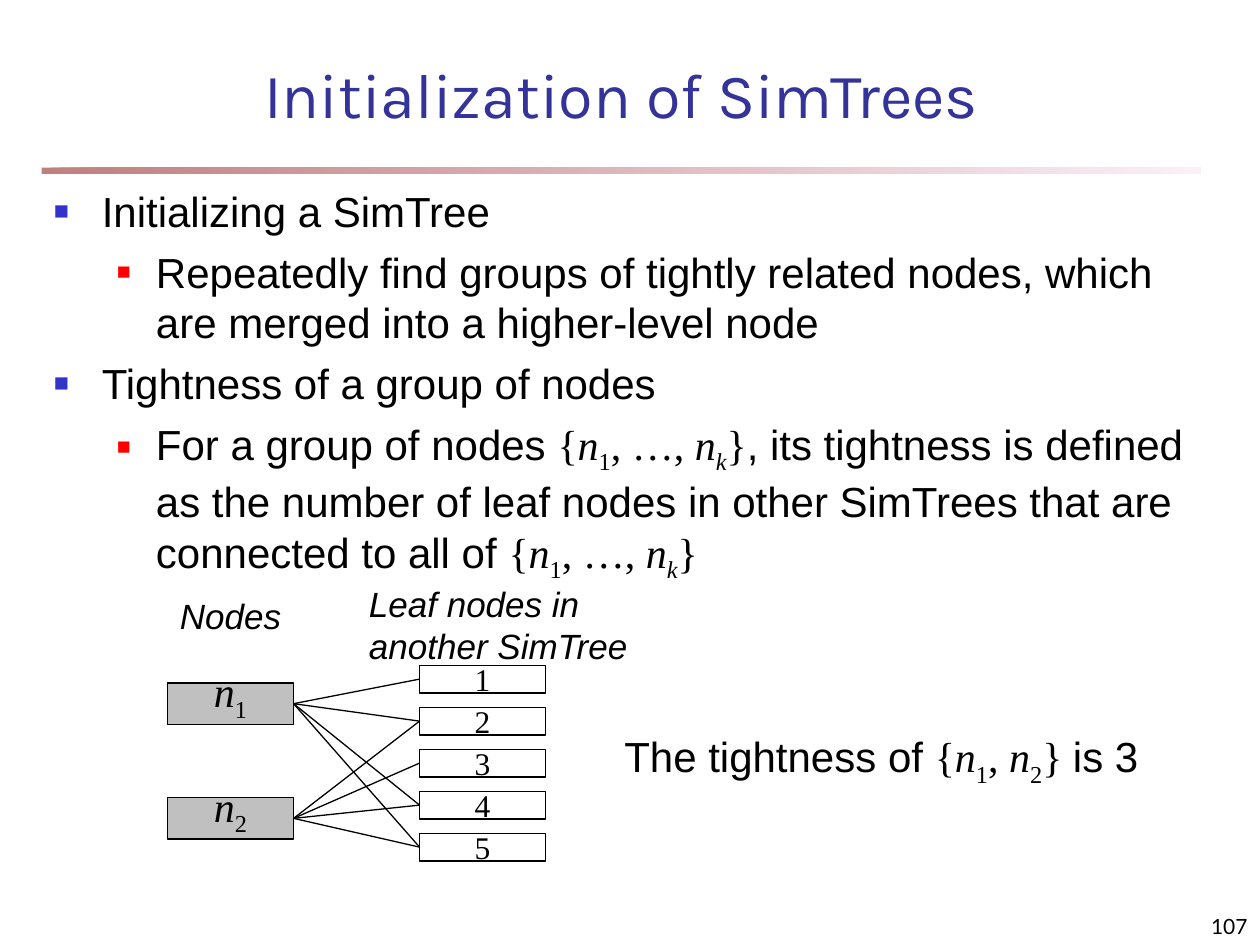
from lxml.etree import SubElement
from pptx import Presentation
from pptx.dml.color import RGBColor
from pptx.enum.shapes import MSO_CONNECTOR, MSO_SHAPE
from pptx.enum.text import MSO_ANCHOR, PP_ALIGN
from pptx.oxml.ns import qn
from pptx.util import Inches, Pt

BLACK = RGBColor(0x00, 0x00, 0x00)
WHITE = RGBColor(0xFF, 0xFF, 0xFF)
GRAY = RGBColor(0xC0, 0xC0, 0xC0)
INDIGO = RGBColor(0x33, 0x33, 0x99)
BLUE = RGBColor(0x33, 0x33, 0xCC)
RED = RGBColor(0xFF, 0x00, 0x00)
MAROON = RGBColor(0x80, 0x00, 0x00)
PINK = RGBColor(0xFA, 0xE2, 0xF6)

SANS = "Arial"
SERIF = "Times New Roman"
RIGHT_SIDE, LEFT_SIDE = 3, 1
BULLETS = [(0.38, -0.38, BLUE, 60), (0.81, -0.31, RED, 55)]


def plain(text):
    return [(text, SANS, False, False)]


def serif(text):
    return [(text, SERIF, False, False)]


def variable(index, italic_index=False):
    return [("n", SERIF, True, False), (index, SERIF, italic_index, True)]


def node_set(separator, last, italic_last=False):
    return (serif("{") + variable("1") + serif(separator)
            + variable(last, italic_last) + serif("}"))


def write_spans(paragraph, spans, size, color=BLACK):
    paragraph.font.size = Pt(size)
    paragraph.font.color.rgb = color
    fonts = {font for _, font, _, _ in spans}
    if len(fonts) == 1:
        paragraph.font.name = fonts.pop()
    for text, font, italic, subscript in spans:
        span = paragraph.add_run()
        span.text = text
        if paragraph.font.name is None:
            span.font.name = font
        if italic:
            span.font.italic = True
        if subscript:
            span._r.get_or_add_rPr().set("baseline", "-25000")


def add_text(page, left, top, width, height, spans, size, color=BLACK,
             align=PP_ALIGN.LEFT, anchor=MSO_ANCHOR.TOP):
    box = page.shapes.add_textbox(Inches(left), Inches(top), Inches(width), Inches(height))
    frame = box.text_frame
    frame.word_wrap = True
    frame.vertical_anchor = anchor
    frame.paragraphs[0].alignment = align
    write_spans(frame.paragraphs[0], spans, size, color)


def add_bullet(paragraph, level):
    margin, indent, color, percent = BULLETS[level]
    paragraph.level = level
    properties = paragraph._p.get_or_add_pPr()
    properties.set("marL", str(Inches(margin)))
    properties.set("indent", str(Inches(indent)))
    bullet_color = SubElement(properties, qn("a:buClr"))
    SubElement(bullet_color, qn("a:srgbClr")).set("val", str(color))
    SubElement(properties, qn("a:buSzPct")).set("val", str(percent * 1000))
    SubElement(properties, qn("a:buFont")).set("typeface", SANS)
    SubElement(properties, qn("a:buChar")).set("char", "■")


def add_outline(page, items):
    box = page.shapes.add_textbox(Inches(0.33), Inches(1.42), Inches(9.17), Inches(3.42))
    frame = box.text_frame
    frame.word_wrap = True
    for number, (level, spans) in enumerate(items):
        paragraph = frame.add_paragraph() if number else frame.paragraphs[0]
        if number:
            paragraph.space_before = Pt(6)
        add_bullet(paragraph, level)
        write_spans(paragraph, spans, 24)


def add_rule(page):
    rule = page.shapes.add_shape(
        MSO_SHAPE.RECTANGLE, Inches(0.33), Inches(1.33), Inches(9.2), Inches(0.05))
    rule.shadow.inherit = False
    rule.line.fill.background()
    rule.fill.gradient()
    rule.fill.gradient_angle = 0
    for stop, position, color in zip(rule.fill.gradient_stops, (0, 1), (MAROON, PINK)):
        stop.position = position
        stop.color.rgb = color
    for element in rule._element.spPr.iter(qn("a:srgbClr")):
        SubElement(element, qn("a:alpha")).set("val", "50000")


def add_node(page, left, top, height, spans, size, fill, insets):
    node = page.shapes.add_shape(
        MSO_SHAPE.RECTANGLE, Inches(left), Inches(top), Inches(1), Inches(height))
    node.shadow.inherit = False
    node.fill.solid()
    node.fill.fore_color.rgb = fill
    node.line.color.rgb = BLACK
    node.line.width = Pt(0.75)
    frame = node.text_frame
    frame.word_wrap = False
    frame.vertical_anchor = MSO_ANCHOR.MIDDLE
    frame.margin_top, frame.margin_bottom = map(Inches, insets)
    frame.paragraphs[0].alignment = PP_ALIGN.CENTER
    write_spans(frame.paragraphs[0], spans, size)
    return node


def add_link(page, node, leaf):
    link = page.shapes.add_connector(MSO_CONNECTOR.STRAIGHT, 0, 0, 0, 0)
    link.begin_connect(node, RIGHT_SIDE)
    link.end_connect(leaf, LEFT_SIDE)
    link.line.color.rgb = BLACK
    link.line.width = Pt(0.75)
    SubElement(link._element.spPr, qn("a:effectLst"))


def add_graph(page):
    leaves = {
        number: add_node(page, 3.33, 5.28 + (number - 1) / 3, 0.22,
                         serif(str(number)), 18, WHITE, (0.05, 0.05))
        for number in range(1, 6)
    }
    for index, top, linked in [("1", 5.42, (1, 2, 4, 5)), ("2", 6.33, (2, 3, 4, 5))]:
        node = add_node(page, 1.33, top, 0.33, variable(index), 24, GRAY, (0, 0.15))
        for number in linked:
            add_link(page, node, leaves[number])


def main():
    deck = Presentation()
    deck.slide_width, deck.slide_height = Inches(10), Inches(7.5)
    page = deck.slides.add_slide(deck.slide_layouts[6])
    add_rule(page)
    add_text(page, 0.67, 0.42, 8.52, 0.67,
             [("Initialization of SimTrees", "Karla", False, False)], 36, INDIGO,
             PP_ALIGN.CENTER, MSO_ANCHOR.BOTTOM)
    group = node_set(", …, ", "k", True)
    add_outline(page, [
        (0, plain("Initializing a SimTree")),
        (1, plain("Repeatedly find groups of tightly related nodes, which are "
                  "merged into a higher-level node")),
        (0, plain("Tightness of a group of nodes")),
        (1, plain("For a group of nodes ") + group
            + plain(", its tightness is defined as the number of leaf nodes in other "
                    "SimTrees that are connected to all of ") + group),
    ])
    add_graph(page)
    add_text(page, 4.83, 5.75, 4.33, 0.56,
             plain("The tightness of ") + node_set(", ", "2") + serif(" ") + plain("is 3"),
             24, align=PP_ALIGN.CENTER)
    add_text(page, 1.33, 4.67, 1.17, 0.44, [("Nodes", SANS, True, False)], 20)
    add_text(page, 2.83, 4.57, 2.27, 1.1,
             [("Leaf nodes in another SimTree", SANS, True, False)], 20)
    add_text(page, 7.92, 7.08, 2.08, 0.42, [("107", "Lato", False, False)], 12,
             align=PP_ALIGN.RIGHT, anchor=MSO_ANCHOR.BOTTOM)
    deck.save("out.pptx")


if __name__ == "__main__":
    main()
